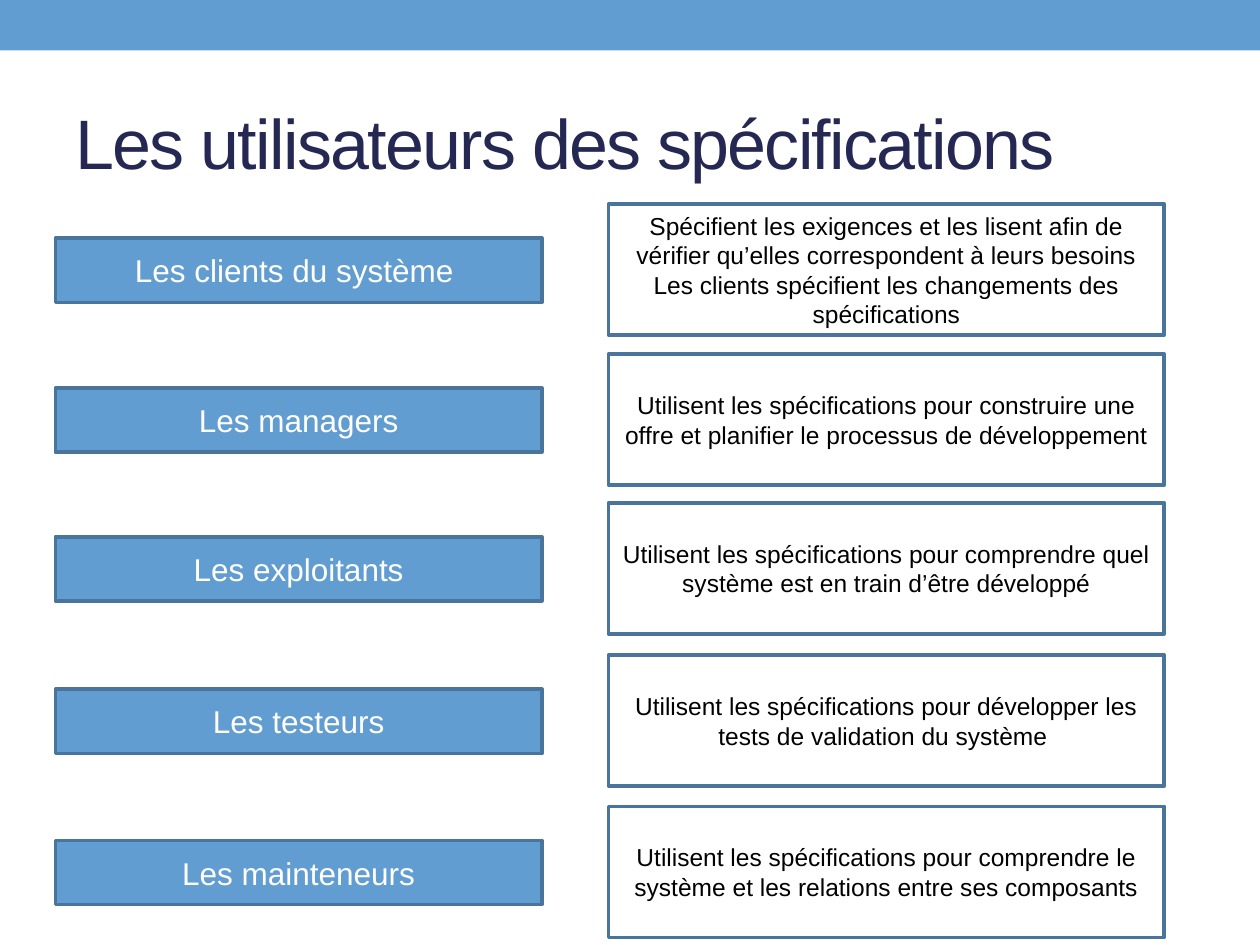
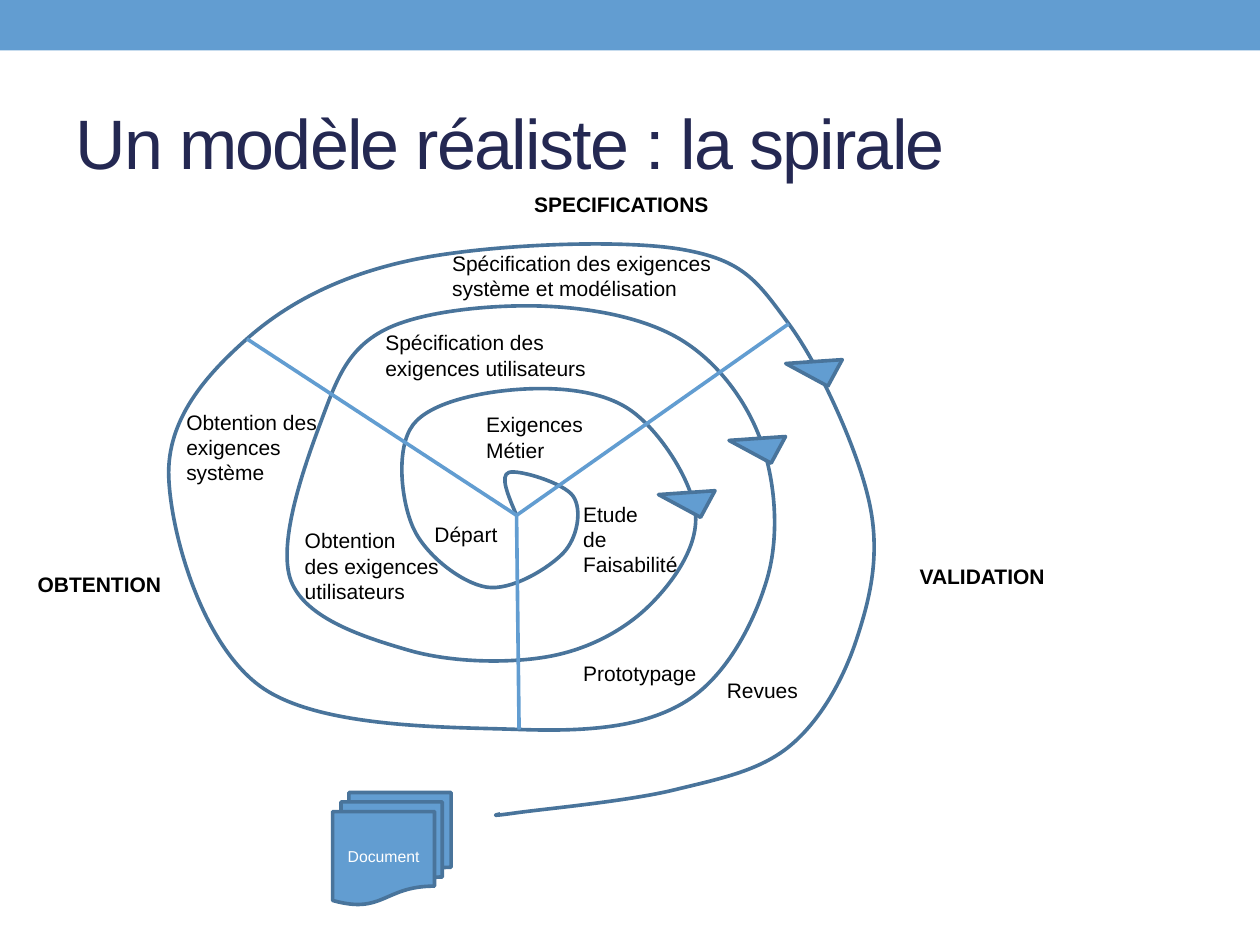
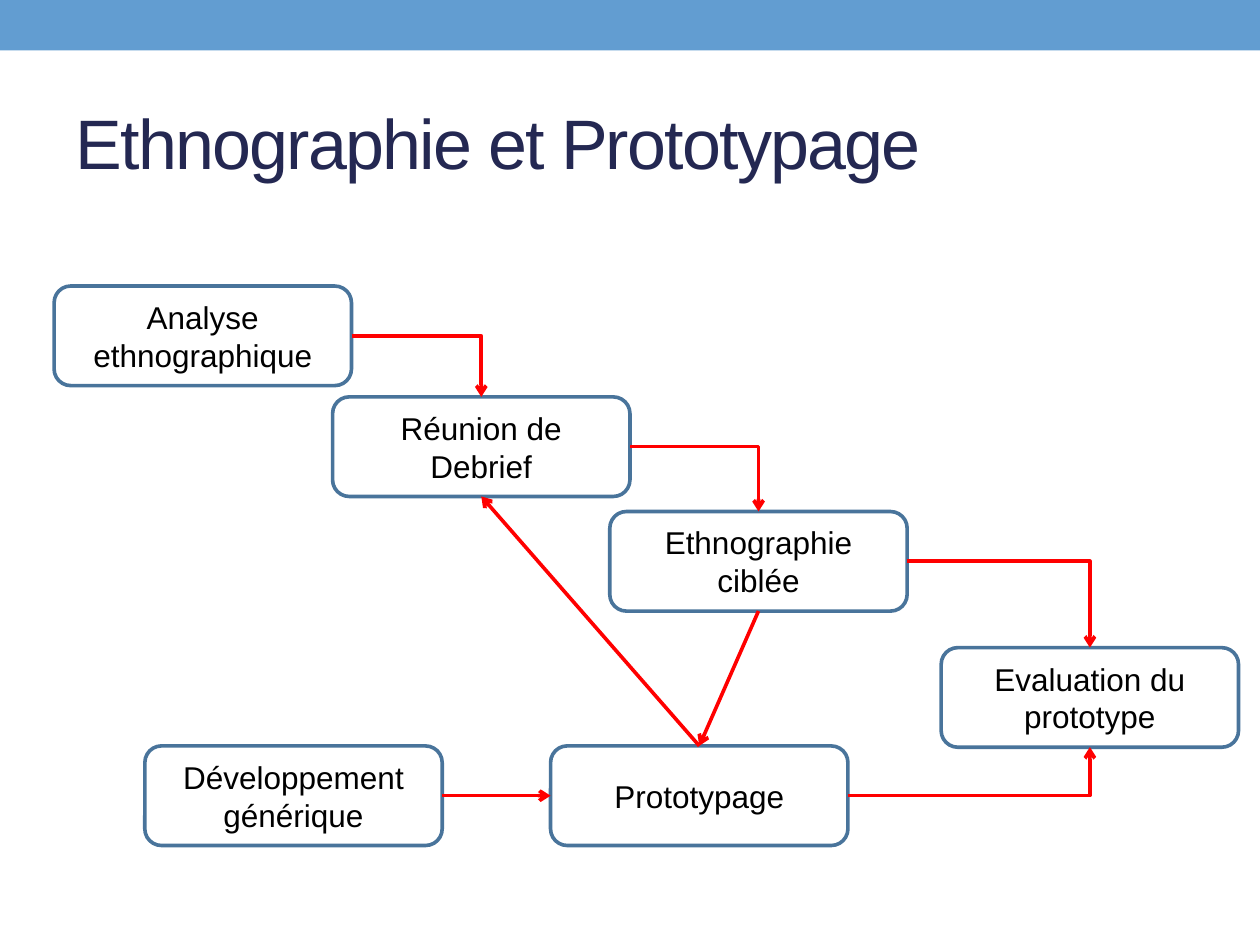
from dataclasses import dataclass

from lxml.etree import SubElement
from pptx import Presentation
from pptx.dml.color import RGBColor
from pptx.enum.shapes import MSO_CONNECTOR as Link, MSO_SHAPE as Preset
from pptx.enum.text import MSO_ANCHOR as Anchor, MSO_AUTO_SIZE as AutoSize, PP_ALIGN as Align
from pptx.oxml.ns import qn
from pptx.shapes.autoshape import Shape
from pptx.shapes.connector import Connector
from pptx.slide import Slide
from pptx.text.text import TextFrame
from pptx.util import Inches, Pt

Point = tuple[float, float]


# Shared look
@dataclass(frozen=True)
class Theme:
    font: str = "Arial"
    blue: str = "629DD1"
    outline: str = "49749B"
    navy: str = "242852"
    black: str = "000000"
    white: str = "FFFFFF"
    red: str = "FF0000"
    title_size: int = 40
    box_size: int = 18
    detail_size: int = 14
    note_size: int = 12
    document_size: int = 9
    line_width: float = 2.08


THEME = Theme()


@dataclass(frozen=True)
class Box:
    left: float
    top: float
    width: float
    height: float

    def lengths(self) -> list[int]:
        return [Inches(n) for n in (self.left, self.top, self.width, self.height)]


@dataclass(frozen=True)
class User:
    top: float
    name: str
    use: str


@dataclass(frozen=True)
class Note:
    text: str
    box: Box
    bold: bool = False


@dataclass(frozen=True)
class Step:
    text: str
    left: float
    top: float


@dataclass(frozen=True)
class Arrow:
    source: str
    source_side: int
    target: str
    target_side: int
    elbow: bool = False


# Contents
USERS = [
    User(1.62, "Les clients du système ",
         "Spécifient les exigences et les lisent afin de vérifier qu’elles correspondent à leurs besoins\n"
         "Les clients spécifient les changements des spécifications"),
    User(2.81, "Les managers",
         "Utilisent les spécifications pour construire une offre et planifier le processus de développement"),
    User(3.99, "Les exploitants",
         "Utilisent les spécifications pour comprendre quel système est en train d’être développé"),
    User(5.2, "Les testeurs",
         "Utilisent les spécifications pour développer les tests de validation du système "),
    User(6.4, "Les mainteneurs",
         "Utilisent les spécifications pour comprendre le système et les relations entre ses composants"),
]

SPIRAL_KNOTS = [
    (4.1, 4.09), (4.04, 3.75), (4.55, 3.94), (4.47, 4.39), (3.86, 4.66), (3.28, 4.19), (3.28, 3.37),
    (4.13, 3.09), (5.01, 3.26), (5.52, 4.08), (5.15, 4.81), (4.36, 5.21), (3.24, 5.16), (2.31, 4.61),
    (2.55, 3.34), (3.05, 2.62), (4.3, 2.43), (5.41, 2.7), (6.04, 3.5), (6.09, 4.59), (5.44, 5.57),
    (4.12, 5.79), (2.07, 5.45), (1.34, 3.79), (1.96, 2.69), (3.29, 2.06), (5.41, 1.98), (6.26, 2.57),
    (6.9, 3.99), (6.8, 5.07), (6.27, 5.92), (5.35, 6.27), (4.11, 6.45), (3.97, 6.46),
]
SECTOR_ENDS = [(1.96, 2.69), (4.12, 5.79), (6.26, 2.57)]
TURN_MARKS = [(5.89, 3.29), (6.34, 2.68), (5.33, 3.72)]

NOTES = [
    Note("Départ", Box(3.35, 4.09, 0.94, 0.3)),
    Note("Exigences Métier", Box(3.76, 3.22, 1.16, 0.5)),
    Note("Etude\nde Faisabilité", Box(4.53, 3.93, 0.96, 0.71)),
    Note("Obtention\ndes exigences utilisateurs", Box(2.32, 4.14, 1.28, 0.71)),
    Note("Spécification des exigences utilisateurs", Box(2.96, 2.57, 2.05, 0.5)),
    Note("Prototypage", Box(4.53, 5.19, 1.28, 0.3)),
    Note("Obtention des exigences système", Box(1.38, 3.2, 1.28, 0.71)),
    Note("Spécification des exigences système et modélisation", Box(3.49, 1.94, 2.54, 0.5)),
    Note("Revues", Box(5.67, 5.33, 1.28, 0.3)),
    Note("OBTENTION", Box(0.2, 4.49, 1.22, 0.3), bold=True),
    Note("SPECIFICATIONS", Box(4.14, 1.47, 1.68, 0.3), bold=True),
    Note("VALIDATION", Box(7.2, 4.42, 1.68, 0.3), bold=True),
]

STEPS = {
    "analysis": Step("Analyse ethnographique", 0.43, 2.27),
    "generic": Step("Développement générique", 1.15, 5.92),
    "prototype": Step("Prototypage", 4.37, 5.92),
    "evaluation": Step("Evaluation du prototype", 7.47, 5.14),
    "focused": Step("Ethnographie ciblée", 4.84, 4.06),
    "debrief": Step("Réunion de Debrief", 2.64, 3.15),
}
TOP, LEFT, BOTTOM, RIGHT = range(4)
ARROWS = [
    Arrow("analysis", RIGHT, "debrief", TOP, elbow=True),
    Arrow("debrief", RIGHT, "focused", TOP, elbow=True),
    Arrow("focused", RIGHT, "evaluation", TOP, elbow=True),
    Arrow("prototype", RIGHT, "evaluation", BOTTOM, elbow=True),
    Arrow("generic", RIGHT, "prototype", LEFT),
    Arrow("prototype", TOP, "debrief", BOTTOM),
    Arrow("focused", BOTTOM, "prototype", TOP),
]


# Drawing helpers
def write(frame: TextFrame, text: str, *, size: float, color: str = THEME.black, bold: bool = False,
          align: Align = Align.LEFT, anchor: Anchor = Anchor.TOP, tracking: float = 0) -> None:
    frame.word_wrap = True
    frame.vertical_anchor = anchor
    frame.text = text
    for paragraph in frame.paragraphs:
        paragraph.alignment = align
        for run in paragraph.runs:
            font = run.font
            font.name, font.size, font.bold = THEME.font, Pt(size), bold
            font.color.rgb = RGBColor.from_string(color)
            if tracking:
                run._r.get_or_add_rPr().set("spc", str(round(tracking * 100)))


def style_line(item: Shape | Connector, color: str) -> None:
    item.line.color.rgb = RGBColor.from_string(color)
    item.line.width = Pt(THEME.line_width)


def add_box(slide: Slide, preset: Preset, box: Box, *, fill: str = THEME.blue,
            line: str | None = THEME.outline) -> Shape:
    shape = slide.shapes.add_shape(preset, *box.lengths())
    shape.shadow.inherit = False
    shape.fill.solid()
    shape.fill.fore_color.rgb = RGBColor.from_string(fill)
    if line:
        style_line(shape, line)
    else:
        shape.line.fill.background()
    return shape


def add_text_box(slide: Slide, preset: Preset, box: Box, text: str, *, size: float,
                 fill: str = THEME.white, color: str = THEME.black) -> Shape:
    shape = add_box(slide, preset, box, fill=fill)
    write(shape.text_frame, text, size=size, color=color, align=Align.CENTER, anchor=Anchor.MIDDLE)
    return shape


def add_line(slide: Slide, start: Point, end: Point, *, color: str, kind: Link = Link.STRAIGHT) -> Connector:
    connector = slide.shapes.add_connector(kind, *(Inches(n) for n in (*start, *end)))
    style_line(connector, color)
    SubElement(connector.element.spPr, qn("a:effectLst"))
    return connector


def add_arrow(slide: Slide, arrow: Arrow, boxes: dict[str, Shape]) -> None:
    kind = Link.ELBOW if arrow.elbow else Link.STRAIGHT
    connector = add_line(slide, (0, 0), (1, 1), color=THEME.red, kind=kind)
    connector.begin_connect(boxes[arrow.source], arrow.source_side)
    connector.end_connect(boxes[arrow.target], arrow.target_side)
    properties = connector.element.spPr
    if arrow.elbow:  # a single right-angle turn
        properties.find(qn("a:prstGeom")).set("prst", "bentConnector2")
    SubElement(properties.find(qn("a:ln")), qn("a:tailEnd"), type="arrow")


def curve_points(knots: list[Point]) -> list[Point]:
    """Two handles and an end for each span; a handle is a sixth of the neighbours' distance."""
    def handle(index: int, sign: int) -> Point:
        before, knot, after = knots[index - 1:index + 2]
        return tuple(k + sign * (a - b) / 6 for b, k, a in zip(before, knot, after))

    def middle(first: Point, second: Point) -> Point:
        return tuple((a + b) / 2 for a, b in zip(first, second))

    points = []
    last = len(knots) - 1
    for index in range(last):
        start, end = knots[index], knots[index + 1]
        leave = handle(index, 1) if index > 0 else middle(start, handle(1, -1))
        arrive = handle(index + 1, -1) if index + 1 < last else middle(leave, end)
        points += [leave, arrive, end]
    return points


def add_curve(slide: Slide, knots: list[Point]) -> None:
    builder = slide.shapes.build_freeform(*(Inches(n) for n in knots[0]))
    builder.add_line_segments([(Inches(x), Inches(y)) for x, y in curve_points(knots)], close=False)
    curve = builder.convert_to_shape()
    curve.shadow.inherit = False
    curve.fill.background()
    style_line(curve, THEME.outline)
    # Each three straight segments become one Bézier span
    outline = next(curve.element.iter(qn("a:path")))
    segments = outline.findall(qn("a:lnTo"))
    for first in range(0, len(segments), 3):
        span = SubElement(outline, qn("a:cubicBezTo"))
        for segment in segments[first:first + 3]:
            span.append(segment[0])
            outline.remove(segment)


# Slide frame: top band on the master, title on each slide
def add_band(presentation: Presentation, slide: Slide) -> None:
    band = add_box(slide, Preset.RECTANGLE, Box(0, 0, 10, 0.4), line=None)
    presentation.slide_master.shapes.element.insert(2, band.element)


def add_slide(presentation: Presentation, title: str) -> Slide:
    slide = presentation.slides.add_slide(presentation.slide_layouts[5])
    heading = slide.shapes.title
    heading.left, heading.top, heading.width, heading.height = Box(0.5, 0.58, 9, 1.08).lengths()
    write(heading.text_frame, title, size=THEME.title_size, color=THEME.navy,
          anchor=Anchor.MIDDLE, tracking=-1)
    heading.text_frame.auto_size = AutoSize.NONE
    return slide


# Slides
def build_users(slide: Slide) -> None:
    for user in USERS:
        add_text_box(slide, Preset.RECTANGLE, Box(0.44, user.top + 0.27, 3.86, 0.51), user.name,
                     size=THEME.box_size, fill=THEME.blue, color=THEME.white)
        add_text_box(slide, Preset.RECTANGLE, Box(4.83, user.top, 4.41, 1.04), user.use,
                     size=THEME.detail_size)


def build_spiral(slide: Slide) -> None:
    add_curve(slide, SPIRAL_KNOTS)
    for end in SECTOR_ENDS:
        add_line(slide, SPIRAL_KNOTS[0], end, color=THEME.blue)
    for note in NOTES:
        frame = slide.shapes.add_textbox(*note.box.lengths()).text_frame
        write(frame, note.text, size=THEME.note_size, bold=note.bold)
        frame.auto_size = AutoSize.SHAPE_TO_FIT_TEXT
    add_text_box(slide, Preset.FLOWCHART_MULTIDOCUMENT, Box(2.64, 6.29, 0.94, 0.89), "Document",
                 size=THEME.document_size, fill=THEME.blue, color=THEME.white)
    for left, top in TURN_MARKS:
        add_box(slide, Preset.RIGHT_TRIANGLE, Box(left, top, 0.24, 0.38)).rotation = 298.4


def build_prototyping(slide: Slide) -> None:
    boxes = {
        key: add_text_box(slide, Preset.ROUNDED_RECTANGLE, Box(step.left, step.top, 2.36, 0.79),
                          step.text, size=THEME.box_size)
        for key, step in STEPS.items()
    }
    for arrow in ARROWS:
        add_arrow(slide, arrow, boxes)


def main() -> None:
    presentation = Presentation()
    presentation.slide_width, presentation.slide_height = Inches(10), Inches(7.5)
    users = add_slide(presentation, "Les utilisateurs des spécifications")
    add_band(presentation, users)
    build_users(users)
    build_spiral(add_slide(presentation, "Un modèle réaliste : la spirale"))
    build_prototyping(add_slide(presentation, "Ethnographie et Prototypage"))
    presentation.save("out.pptx")


if __name__ == "__main__":
    main()
